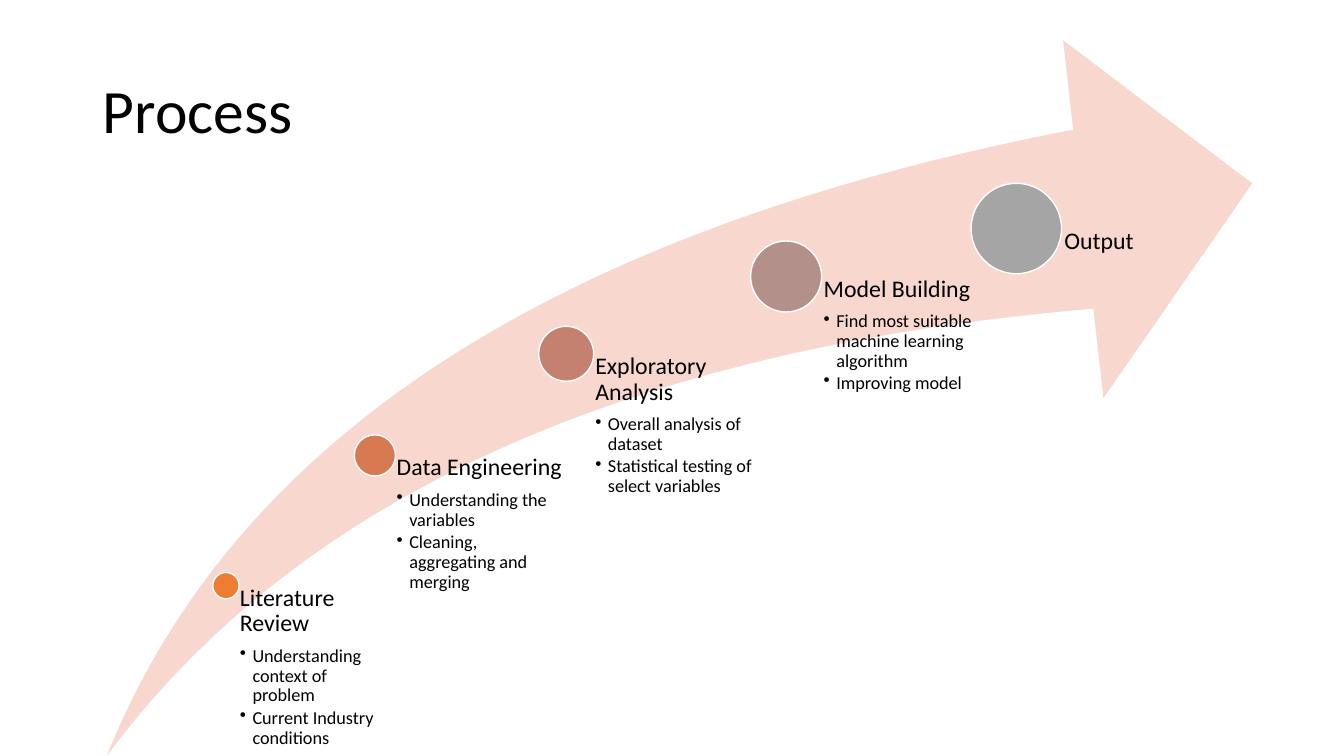
"""Build the Process slide: five growing milestones along a rising arrow."""
from lxml import etree
from pptx import Presentation
from pptx import util as u
from pptx.dml.color import RGBColor
from pptx.enum import shapes, text
from pptx.oxml import ns

BLACK = RGBColor(0x00, 0x00, 0x00)
WHITE = RGBColor(0xFF, 0xFF, 0xFF)
PEACH = RGBColor(0xF8, 0xD7, 0xCE)
ORANGE = RGBColor(0xED, 0x7D, 0x31)
COPPER = RGBColor(0xD8, 0x7A, 0x51)
ROSE = RGBColor(0xC4, 0x81, 0x70)
MAUVE = RGBColor(0xB4, 0x90, 0x8B)
GRAY = RGBColor(0xA5, 0xA5, 0xA5)

BULLET_INDENT = u.Inches(0.125)


def write(para, words, size, after=0, bullet=False):
    """Fill a paragraph with formatted words."""
    if bullet:
        para.level = 1
        props = para._p.get_or_add_pPr()
        props.set("marL", str(BULLET_INDENT))
        props.set("indent", str(-BULLET_INDENT))
        etree.SubElement(props, ns.qn("a:buChar")).set("char", "•")
    para.alignment = text.PP_ALIGN.LEFT
    para.line_spacing = 0.9
    para.space_before = u.Pt(0)
    para.space_after = u.Pt(after)
    span = para.add_run()
    span.text = words
    span.font.size = u.Pt(size)
    span.font.name = "Calibri"
    span.font.color.rgb = BLACK


deck = Presentation()
deck.slide_width, deck.slide_height = u.Inches(13.33), u.Inches(7.5)
page = deck.slides.add_slide(deck.slide_layouts[5])

left, top = u.Inches(1.06), u.Inches(0.4)
width, height = u.Inches(11.36), deck.slide_height - top

title = page.shapes.title
title.left, title.top = u.Inches(0.92), top
title.width, title.height = u.Inches(11.5), u.Inches(1.45)
title.text_frame.vertical_anchor = text.MSO_ANCHOR.MIDDLE
write(title.text_frame.paragraphs[0], "Process", 44)

arrow = page.shapes.add_shape(shapes.MSO_SHAPE.SWOOSH_ARROW, left, top, width, height)
arrow.adjustments[0] = arrow.adjustments[1] = 0.25
arrow.shadow.inherit = False
arrow.fill.solid()
arrow.fill.fore_color.rgb = PEACH
arrow.line.fill.background()

# Centre x, centre y, diameter and label width are shares of the arrow's size.
milestones = [
    (0.104, 0.762, 0.023, 0.131, ORANGE, "Literature Review",
     ["Understanding context of problem", "Current Industry conditions"]),
    (0.234, 0.58, 0.036, 0.166, COPPER, "Data Engineering",
     ["Understanding the variables", "Cleaning, aggregating and merging"]),
    (0.401, 0.438, 0.048, 0.193, ROSE, "Exploratory Analysis",
     ["Overall analysis of dataset", "Statistical testing of select variables"]),
    (0.593, 0.33, 0.062, 0.2, MAUVE, "Model Building",
     ["Find most suitable machine learning algorithm", "Improving model"]),
    (0.794, 0.263, 0.079, 0.2, GRAY, "Output", []),
]

for across, down, size, label_width, color, heading, details in milestones:
    x, y = left + int(across * width), top + int(down * height)
    diameter = int(size * width)
    dot = page.shapes.add_shape(shapes.MSO_SHAPE.OVAL, x - diameter // 2,
                                y - diameter // 2, diameter, diameter)
    dot.shadow.inherit = False
    dot.fill.solid()
    dot.fill.fore_color.rgb = color
    dot.line.color.rgb = WHITE
    dot.line.width = u.Pt(1)

    box = page.shapes.add_textbox(x, y, int(label_width * width), deck.slide_height - y)
    frame = box.text_frame
    frame.word_wrap = True
    frame.margin_left = int(0.53 * diameter)
    frame.margin_top = frame.margin_right = frame.margin_bottom = 0
    write(frame.paragraphs[0], heading, 17, after=7)
    for detail in details:
        write(frame.add_paragraph(), detail, 13, after=2, bullet=True)

deck.save("out.pptx")
